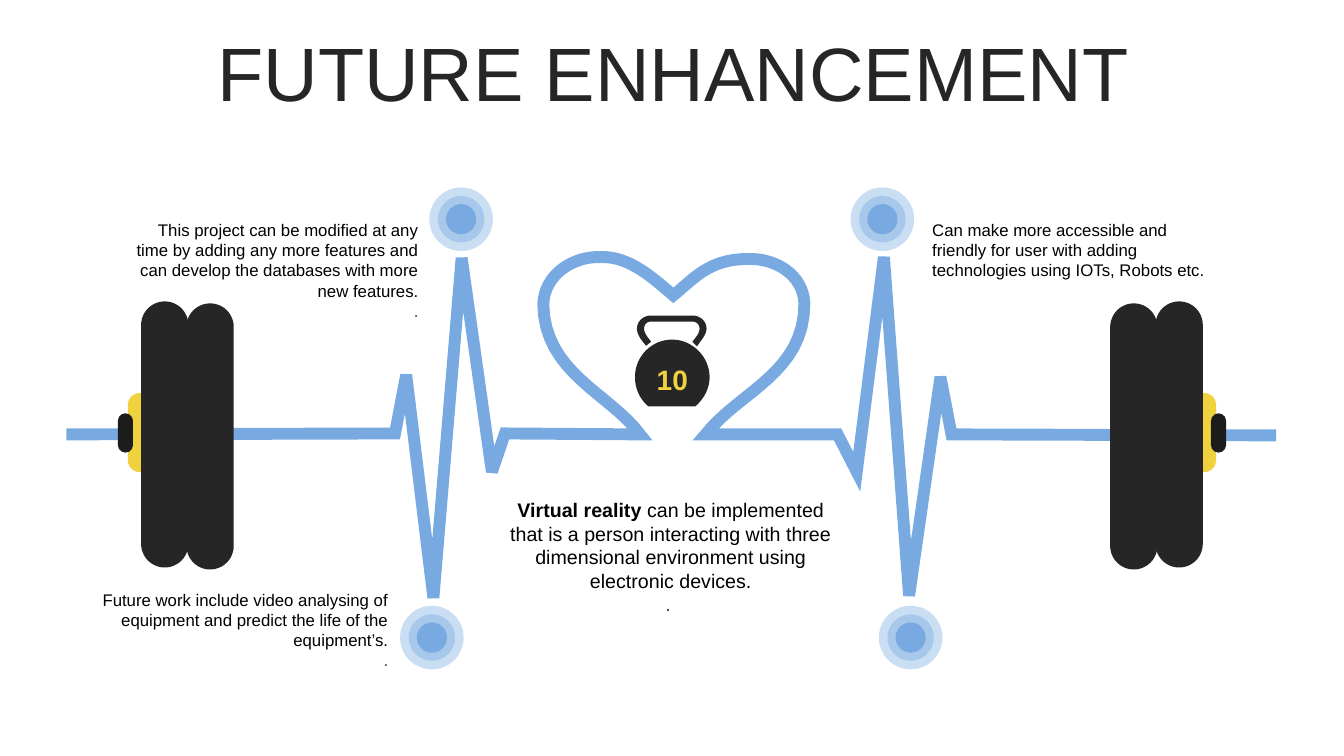
import pptx
import pptx.util
import pptx.dml.color
import pptx.enum.shapes
import pptx.enum.text
import pptx.oxml
import pptx.oxml.ns

Pt = pptx.util.Pt
Kind = pptx.enum.shapes.MSO_SHAPE
Align = pptx.enum.text.PP_ALIGN
Anchor = pptx.enum.text.MSO_ANCHOR
WIDE, HIGH = 960, 540
BLUE, DARK, CAP, GOLD = "78AAE1", "262626", "1C1C1D", "F0D23F"
BLACK, GREY = "000000", "404040"

TITLE = (25.2, 26.6, 911.5, 56.9)
NOTES = [
    ((357.1, 352.1, 244.1, 92.2), Align.CENTER, 14, [
        [("Virtual reality ", BLACK, True),
         ("can be implemented that is a person interacting with three "
          "dimensional environment using electronic devices.", BLACK, False)],
        [(". ", GREY, False)]]),
    ((82.1, 153.4, 223.9, 79.9), Align.RIGHT, 12, [
        [("This project can be modified at any time by adding any more features "
          "and can develop the databases with more new features.", BLACK, False)],
        [(".", GREY, False)]]),
    ((60.5, 417.6, 223.9, 65.5), Align.RIGHT, 12, [
        [("Future work include video analysing of equipment and predict "
          "the life of the equipment’s.", BLACK, False)],
        [(".", GREY, False)]]),
    ((658.8, 153.4, 223.9, 51.1), Align.LEFT, 12, [
        [("Can make more accessible and friendly for user with adding "
          "technologies using IOTs, Robots etc.", BLACK, False)]]),
]

# Two numbers make a straight step, six make a cubic curve.
PULSE = [
    (47.5, 310.3), (282.2, 309.6), (290.2, 267.8), (309.6, 427), (329.8, 184.3),
    (351.4, 337), (360.7, 309.6), (457.2, 310.3),
    (436.3, 281.5, 388.8, 266.4, 388.1, 217.4),
    (388.8, 195.8, 409.7, 182.9, 429.1, 183.6),
    (450, 182.9, 467.3, 199.4, 481, 211),
    (495.4, 199.4, 506.2, 185, 534.2, 185),
    (554.4, 184.3, 573.8, 196.6, 574.6, 216.7),
    (574.6, 266.4, 528.5, 279.4, 504, 310.3),
    (598.3, 310.3), (612, 337), (631.4, 183.6), (649.4, 425.5),
    (671.8, 269.3), (679.7, 310.3), (911.5, 311),
]
GRIP = [
    (465.1, 225.4), (494.6, 225.4),
    (500.4, 225.4, 504.7, 229.7, 504.7, 234.7),
    (504.7, 239, 501.1, 242.6, 498.2, 247), (497.5, 247), (494.6, 244.1),
    (496.8, 241.2, 499.7, 238.3, 499.7, 234.7),
    (499.7, 231.8, 497.5, 229.7, 494.6, 229.7), (465.1, 229.7),
    (462.2, 229.7, 460.1, 231.8, 460.1, 234.7),
    (460.1, 238.3, 463, 241.2, 465.1, 244.1), (461.5, 247),
    (457.9, 242.6, 455, 239, 455, 234.7),
    (455, 229.7, 459.4, 225.4, 465.1, 225.4),
]
BELL = [
    (480.2, 242.6),
    (494.6, 242.6, 506.9, 254.9, 506.9, 269.3),
    (506.9, 277.9, 502.6, 285.1, 496.8, 290.2), (463, 290.2),
    (457.2, 285.1, 453.6, 277.9, 453.6, 269.3),
    (453.6, 254.9, 465.1, 242.6, 480.2, 242.6),
]
DOTS = [(329.4, 156.6), (630.3, 156.6), (308.5, 455.4), (650.5, 455.4)]
RINGS = [(45.4, 40), (33.1, 40), (21.6, 100)]
PLATES = [
    (91.4, 280.8, 16.6, 56.4, GOLD),
    (100.8, 215.3, 33.8, 190.1, DARK),
    (133.2, 216.7, 33.8, 190.1, DARK),
    (84.2, 295.2, 10.8, 28.1, CAP),
]


def tint(hue):
    return pptx.dml.color.RGBColor.from_string(hue)


def paint(shape, hue, alpha=100):
    shape.shadow.inherit = False
    shape.line.fill.background()
    shape.fill.solid()
    shape.fill.fore_color.rgb = tint(hue)
    if alpha < 100:
        mark = shape.fill._xPr.find(".//" + pptx.oxml.ns.qn("a:srgbClr"))
        mark.append(pptx.oxml.parse_xml(
            f'<a:alpha {pptx.oxml.ns.nsdecls("a")} val="{alpha * 1000}"/>'))


def block(slide, kind, box, hue, alpha=100):
    shape = slide.shapes.add_shape(kind, *map(Pt, box))
    paint(shape, hue, alpha)
    return shape


def trace(steps, parts=16):
    dots = [steps[0]]
    for step in steps[1:]:
        if len(step) == 2:
            dots.append(step)
            continue
        ends = [dots[-1], step[:2], step[2:4], step[4:]]
        for n in range(1, parts + 1):
            t = n / parts
            mix = ((1 - t) ** 3, 3 * t * (1 - t) ** 2, 3 * t * t * (1 - t), t ** 3)
            dots.append(tuple(sum(m * e[a] for m, e in zip(mix, ends))
                              for a in (0, 1)))
    return [(100 * x, 100 * y) for x, y in dots]


def shape_out(slide, steps, close):
    first, *rest = trace(steps)
    pen = slide.shapes.build_freeform(*first, scale=Pt(1) / 100)
    pen.add_line_segments(rest, close=close)
    shape = pen.convert_to_shape()
    shape.shadow.inherit = False
    return shape


def write(slide, box, align, size, paras, anchor=Anchor.TOP):
    shape = slide.shapes.add_textbox(*map(Pt, box))
    frame = shape.text_frame
    frame.word_wrap = True
    frame.vertical_anchor = anchor
    for n, runs in enumerate(paras):
        para = frame.add_paragraph() if n else frame.paragraphs[0]
        para.alignment = align
        for words, hue, bold in runs:
            run = para.add_run()
            run.text = words
            run.font.name = "Arial"
            run.font.size = Pt(size)
            run.font.bold = bold
            run.font.color.rgb = tint(hue)
    return frame


def main():
    deck = pptx.Presentation()
    deck.slide_width, deck.slide_height = Pt(WIDE), Pt(HIGH)
    slide = deck.slides.add_slide(deck.slide_layouts[6])

    head = write(slide, TITLE, Align.CENTER, 54,
                 [[("FUTURE ENHANCEMENT", DARK, False)]], Anchor.MIDDLE)
    head.paragraphs[0].line_spacing = 0.9

    pulse = shape_out(slide, PULSE, False)
    pulse.fill.background()
    pulse.line.color.rgb = tint(BLUE)
    pulse.line.width = Pt(8.5)
    pulse.line._get_or_add_ln().append(pptx.oxml.parse_xml(
        f'<a:miter {pptx.oxml.ns.nsdecls("a")} lim="800000"/>'))

    for box, align, size, paras in NOTES:
        write(slide, box, align, size, paras)

    for x, y in DOTS:
        for size, alpha in RINGS:
            box = (x - size / 2, y - size / 2, size, size)
            block(slide, Kind.OVAL, box, BLUE, alpha)

    for flip in (False, True):
        for x, y, w, h, hue in PLATES:
            left = WIDE - x - w if flip else x
            plate = block(slide, Kind.ROUNDED_RECTANGLE, (left, y, w, h), hue)
            plate.adjustments[0] = 0.5

    for steps in (GRIP, BELL):
        paint(shape_out(slide, steps, True), DARK)
    count = write(slide, (460.2, 258.7, 40, 24), Align.CENTER, 20,
                  [[("10", GOLD, True)]], Anchor.MIDDLE)
    count.margin_left = count.margin_right = Pt(0)
    count.margin_top = count.margin_bottom = Pt(0)

    deck.save("out.pptx")


if __name__ == "__main__":
    main()
